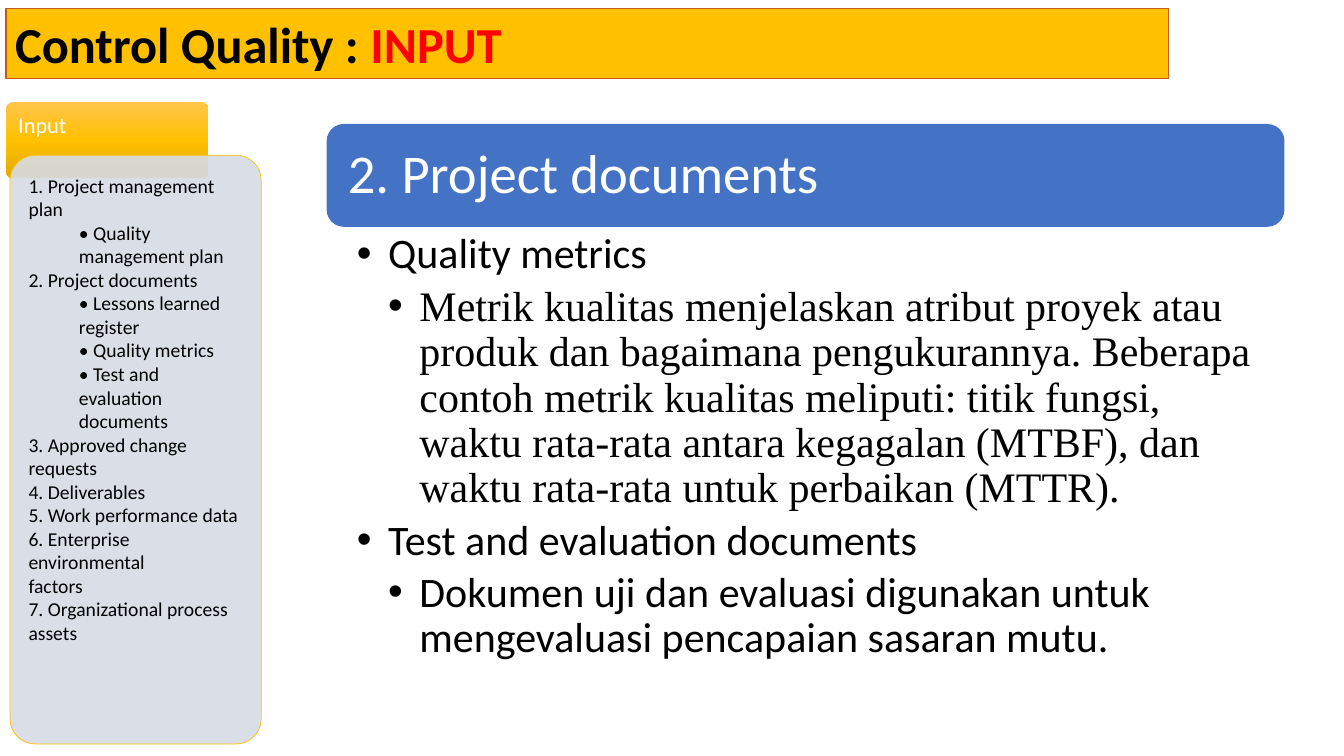
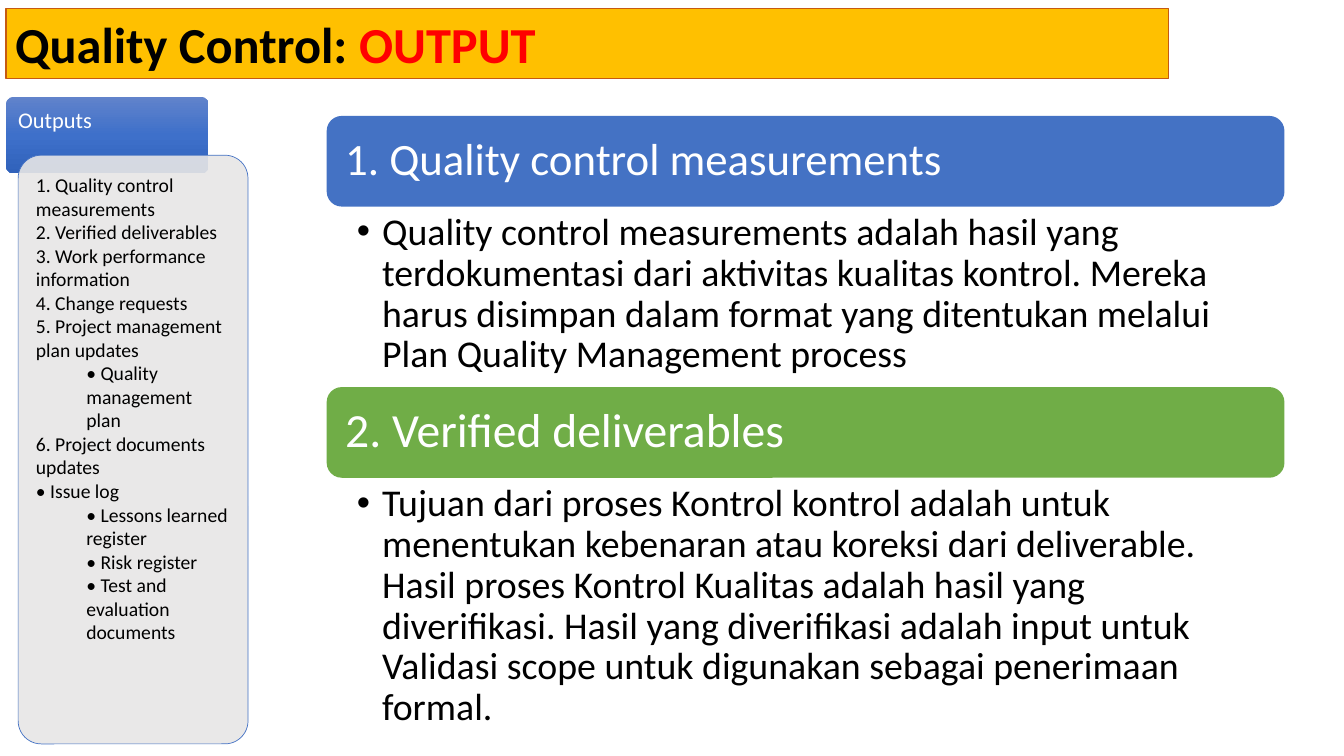
from copy import deepcopy

from lxml import etree
from pptx import Presentation
from pptx.dml.color import RGBColor
from pptx.enum.shapes import MSO_SHAPE
from pptx.enum.text import MSO_ANCHOR, PP_ALIGN
from pptx.oxml.ns import qn
from pptx.util import Inches, Pt

RECTANGLE, ROUNDED = MSO_SHAPE.RECTANGLE, MSO_SHAPE.ROUNDED_RECTANGLE
TOP, MIDDLE = MSO_ANCHOR.TOP, MSO_ANCHOR.MIDDLE
LEFT = PP_ALIGN.LEFT

SANS, SERIF = "Calibri", "Times New Roman"
BLACK, WHITE, RED = "000000", "FFFFFF", "FF0000"
GOLD, RUST, BLUE, GREEN = "FFC000", "C55A11", "4472C4", "70AD47"

# Left margin, content column and sidebar rows, in inches
MARGIN = 0.06
CONTENT_LEFT, CONTENT_WIDTH = 3.24, 9.5
TAB_WIDTH, TAB_HEIGHT = 2.01, 0.76
PANEL_TOP, PANEL_HEIGHT = 1.54, 5.84
PANEL_INDENT = 0.5

SLIDES = [
    {
        "title": ("Control Quality : ", "INPUT"),
        "tab": ("Input", 1.01, ("FFC64B", GOLD, "E3AB00")),
        "panel": (0.1, 2.49, "D6DCE5", GOLD),
        "items": [
            (0, "1. Project management plan"),
            (1, "• Quality management plan"),
            (0, "2. Project documents"),
            (1, "• Lessons learned register"),
            (1, "• Quality metrics"),
            (1, "• Test and evaluation"),
            (1, "documents"),
            (0, "3. Approved change requests"),
            (0, "4. Deliverables"),
            (0, "5. Work performance data"),
            (0, "6. Enterprise environmental"),
            (0, "factors"),
            (0, "7. Organizational process assets"),
        ],
        "heading_height": 1.02,
        "heading_inset": 0.16,
        "body_size": 30,
        "bullet_step": 0.31,
        "sections": [
            ("2. Project documents", 1.23, 39, BLUE, 5.03, [
                (1, SANS, "Quality metrics"),
                (2, SERIF, "Metrik kualitas menjelaskan atribut proyek atau produk dan "
                           "bagaimana pengukurannya. Beberapa contoh metrik kualitas "
                           "meliputi: titik fungsi, waktu rata-rata antara kegagalan "
                           "(MTBF), dan waktu rata-rata untuk perbaikan (MTTR)."),
                (1, SANS, "Test and evaluation documents"),
                (2, SANS, "Dokumen uji dan evaluasi digunakan untuk mengevaluasi "
                          "pencapaian sasaran mutu."),
            ]),
        ],
    },
    {
        "title": ("Quality Control: ", "OUTPUT"),
        "tab": ("Outputs", 0.96, ("6183CB", "3E70CA", "3062BB")),
        "panel": (0.18, 2.28, "E7E6E6", BLUE),
        "items": [
            (0, "1. Quality control measurements"),
            (0, "2. Verified deliverables"),
            (0, "3. Work performance"),
            (0, "information"),
            (0, "4. Change requests"),
            (0, "5. Project management plan updates"),
            (1, "• Quality management plan"),
            (0, "6. Project documents updates"),
            (0, "• Issue log"),
            (1, "• Lessons learned register"),
            (1, "• Risk register"),
            (1, "• Test and evaluation documents"),
        ],
        "heading_height": 0.9,
        "heading_inset": 0.14,
        "body_size": 27,
        "bullet_step": 0.25,
        "sections": [
            ("1. Quality control measurements", 1.15, 32, BLUE, 1.77, [
                (1, SANS, "Quality control measurements adalah hasil yang "
                          "terdokumentasi dari aktivitas kualitas kontrol. Mereka harus "
                          "disimpan dalam format yang ditentukan melalui Plan Quality "
                          "Management process"),
            ]),
            ("2. Verified deliverables", 3.84, 34, GREEN, 2.62, [
                (1, SANS, "Tujuan dari proses Kontrol kontrol adalah untuk menentukan "
                          "kebenaran atau koreksi dari deliverable. Hasil proses Kontrol "
                          "Kualitas adalah hasil yang diverifikasi. Hasil yang "
                          "diverifikasi adalah input untuk Validasi scope untuk "
                          "digunakan sebagai penerimaan formal."),
            ]),
        ],
    },
]


def add_box(page, preset, area, fill, line=None, line_width=0.5):
    box = page.shapes.add_shape(preset, *[Inches(length) for length in area])
    box.shadow.inherit = False
    box.fill.solid()
    box.fill.fore_color.rgb = RGBColor.from_string(fill)
    if line:
        box.line.color.rgb = RGBColor.from_string(line)
        box.line.width = Pt(line_width)
    else:
        box.line.fill.background()
    return box


def write(box, lines, size, color, insets, anchor=TOP, spacing=1.0):
    """Fill a box with one paragraph per line; insets are left, top, right, bottom."""
    frame = box.text_frame
    frame.word_wrap = True
    frame.vertical_anchor = anchor
    (frame.margin_left, frame.margin_top,
     frame.margin_right, frame.margin_bottom) = [Inches(inset) for inset in insets]
    frame.text = "\n".join(lines)
    for para in frame.paragraphs:
        para.alignment = LEFT
        para.line_spacing = spacing
        for span in para.runs:
            span.font.name = SANS
            span.font.size = Pt(size)
            span.font.color.rgb = RGBColor.from_string(color)
    return frame.paragraphs


deck = Presentation()
deck.slide_width, deck.slide_height = Inches(13.33), Inches(7.5)
blank = deck.slide_layouts[6]

for content in SLIDES:
    page = deck.slides.add_slide(blank)

    # Title band
    label, keyword = content["title"]
    band = add_box(page, RECTANGLE, (MARGIN, 0.08, 11.53, 0.7), GOLD, RUST, 0.75)
    title = write(band, [label], 36, BLACK, (0.09, 0.05, 0.09, 0.05), MIDDLE)[0]
    accent = title.add_run()
    accent.text = keyword
    accent.font.name = SANS
    accent.font.size = Pt(36)
    accent.font.color.rgb = RGBColor.from_string(RED)
    for span in title.runs:
        span.font.bold = True

    # Headings, each with its bulleted text below
    heading_height = content["heading_height"]
    step = content["bullet_step"]
    for heading, top, size, fill, body_height, bullets in content["sections"]:
        bar = add_box(page, ROUNDED,
                      (CONTENT_LEFT, top, CONTENT_WIDTH, heading_height), fill)
        write(bar, [heading], size, WHITE, [content["heading_inset"]] * 4, MIDDLE, 0.9)

        body = page.shapes.add_textbox(
            Inches(CONTENT_LEFT), Inches(top + heading_height + 0.01),
            Inches(CONTENT_WIDTH), Inches(body_height))
        paras = write(body, [text for _, _, text in bullets], content["body_size"],
                      BLACK, (0.3, 0.05, 0.28, 0.05), spacing=0.9)
        for para, (level, font, _) in zip(paras, bullets):
            para.space_after = Pt(5)
            para.runs[0].font.name = font
            properties = para._p.get_or_add_pPr()
            properties.set("marL", str(Inches(level * step)))
            properties.set("indent", str(-Inches(step)))
            etree.SubElement(properties, qn("a:buFont"), typeface="Arial")
            etree.SubElement(properties, qn("a:buChar"), char="•")

    # Sidebar tab with a three-stop vertical gradient
    tab_label, tab_top, shades = content["tab"]
    tab = add_box(page, ROUNDED, (MARGIN, tab_top, TAB_WIDTH, TAB_HEIGHT), shades[1])
    tab.adjustments[0] = 0.1
    tab.fill.gradient()
    tab.fill.gradient_angle = 270
    stop_list = tab.element.spPr.find(".//" + qn("a:gsLst"))
    stop_list.append(deepcopy(stop_list[-1]))
    for stop, shade, position in zip(tab.fill.gradient_stops, shades, (0, 0.5, 1)):
        stop.color.rgb = RGBColor.from_string(shade)
        stop.position = position
    write(tab, [tab_label], 16, WHITE, (0.1, 0.1, 0.1, 0.3), spacing=0.9)

    # Sidebar panel, slightly transparent over the tab
    left, width, fill, line = content["panel"]
    panel = add_box(page, ROUNDED, (left, PANEL_TOP, width, PANEL_HEIGHT), fill, line)
    panel.adjustments[0] = 0.1
    panel_color = panel.element.spPr.find(qn("a:solidFill"))[0]
    etree.SubElement(panel_color, qn("a:alpha"), val="90000")
    paras = write(panel, [text for _, text in content["items"]], 14, BLACK, [0.11] * 4)
    for para, (level, _) in zip(paras, content["items"]):
        para._p.get_or_add_pPr().set("marL", str(Inches(level * PANEL_INDENT)))

deck.save("out.pptx")
